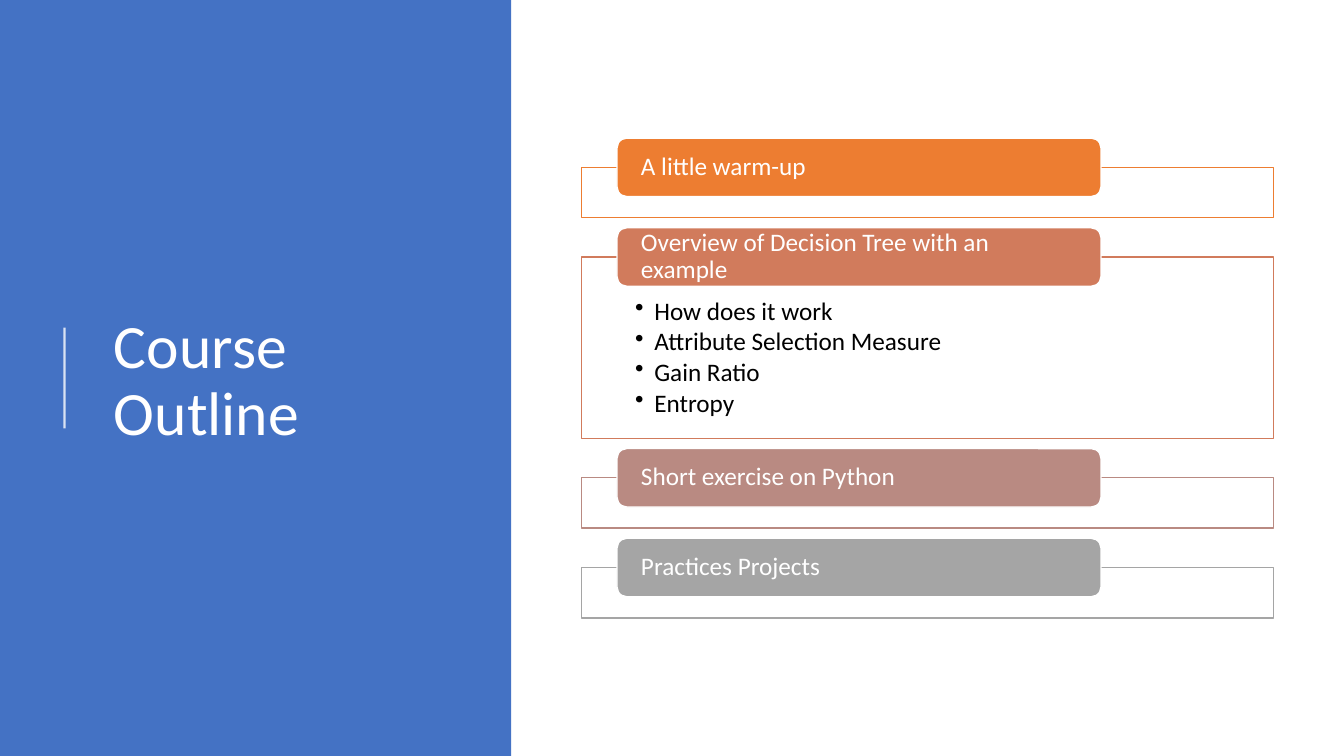
"""Build the course outline slide: a title panel and four tabbed sections."""
from lxml.etree import SubElement
from pptx import Presentation
from pptx.dml.color import RGBColor
from pptx.enum.shapes import MSO_CONNECTOR, MSO_SHAPE as Preset
from pptx.enum.text import MSO_ANCHOR as Anchor, PP_ALIGN as Align
from pptx.oxml.ns import qn
from pptx.util import Inches, Pt

COLORS = {
    "panel": "4472C4", "white": "FFFFFF", "black": "000000",
    "orange": "ED7D31", "rust": "D17B5C", "rose": "B98A82", "gray": "A5A5A5",
}
SECTIONS = [
    ("A little warm-up", "orange", []),
    ("Overview of Decision Tree with an example", "rust",
     ["How does it work", "Attribute Selection Measure", "Gain Ratio", "Entropy"]),
    ("Short exercise on Python", "rose", []),
    ("Practices Projects", "gray", []),
]
FRAME_LEFT, FRAME_WIDTH = 5.77, 6.86
FRAME_SHORT, FRAME_TALL, FRAME_GAP = 0.5, 1.8, 0.39
TAB_LEFT, TAB_WIDTH, TAB_HEIGHT = 6.12, 4.8, 0.58


def add_box(preset, left, top, width, height, fill, line=None):
    box = slide.shapes.add_shape(
        preset, Inches(left), Inches(top), Inches(width), Inches(height))
    box.shadow.inherit = False
    box.fill.solid()
    box.fill.fore_color.rgb = RGBColor.from_string(COLORS[fill])
    if line:
        box.line.color.rgb = RGBColor.from_string(COLORS[line])
        box.line.width = Pt(1)
    else:
        box.line.fill.background()
    return box


def add_text(paragraph, text, size, color):
    paragraph.alignment = Align.LEFT
    paragraph.line_spacing = 0.9
    run = paragraph.add_run()
    run.text = text
    run.font.name = "Calibri"
    run.font.size = Pt(size)
    run.font.color.rgb = RGBColor.from_string(COLORS[color])


deck = Presentation()
deck.slide_width, deck.slide_height = Inches(13.33), Inches(7.5)
slide = deck.slides.add_slide(deck.slide_layouts[5])

title = slide.shapes.title
title.left, title.top = Inches(1.03), Inches(0.78)
title.width, title.height = Inches(3.69), Inches(6.02)
title.text_frame.word_wrap = True
title.text_frame.vertical_anchor = Anchor.MIDDLE
add_text(title.text_frame.paragraphs[0], "Course Outline", 44, "white")

panel = add_box(Preset.RECTANGLE, 0, 0, 5.07, 7.5, "panel")
title.element.addprevious(panel.element)

accent = slide.shapes.add_connector(
    MSO_CONNECTOR.STRAIGHT, Inches(0.64), Inches(4.25), Inches(0.64), Inches(3.25))
accent.line.width = Pt(1.5)
accent.line.color.rgb = RGBColor.from_string(COLORS["white"])
SubElement(accent.element.spPr, qn("a:effectLst"))
SubElement(next(accent.element.iter(qn("a:srgbClr"))), qn("a:alpha"), val="80000")

frame_top = 1.66
for heading, color, topics in SECTIONS:
    frame_height = FRAME_TALL if topics else FRAME_SHORT
    frame = add_box(Preset.RECTANGLE, FRAME_LEFT, frame_top,
                    FRAME_WIDTH, frame_height, "white", color)
    SubElement(next(frame.element.iter(qn("a:srgbClr"))), qn("a:alpha"), val="90000")

    body = frame.text_frame
    body.word_wrap = True
    body.vertical_anchor = Anchor.TOP
    body.margin_left = body.margin_right = Inches(0.53)
    body.margin_top, body.margin_bottom = Inches(0.41), Inches(0.14)
    for index, topic in enumerate(topics):
        paragraph = body.add_paragraph() if index else body.paragraphs[0]
        add_text(paragraph, topic, 18, "black")
        paragraph.space_after = Pt(2.5)
        properties = paragraph._p.get_or_add_pPr()
        properties.set("marL", str(Inches(0.19)))
        properties.set("indent", str(-Inches(0.19)))
        SubElement(properties, qn("a:buChar"), char="•")

    tab = add_box(Preset.ROUNDED_RECTANGLE, TAB_LEFT, frame_top - TAB_HEIGHT / 2,
                  TAB_WIDTH, TAB_HEIGHT, color, "white")
    label = tab.text_frame
    label.word_wrap = True
    label.vertical_anchor = Anchor.MIDDLE
    label.margin_left = label.margin_right = Inches(0.18 + 0.03)
    label.margin_top = label.margin_bottom = 0
    add_text(label.paragraphs[0], heading, 18, "white")

    frame_top += frame_height + FRAME_GAP

deck.save("out.pptx")
